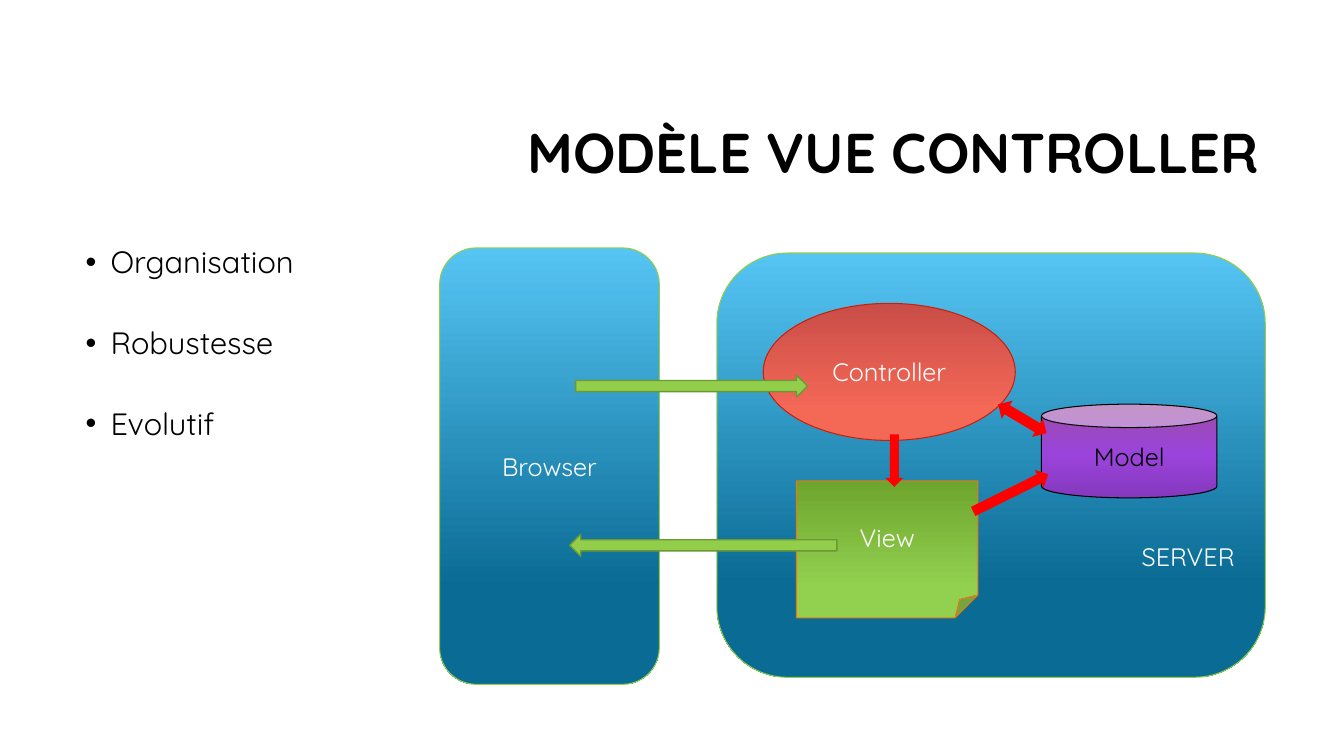
import copy

import pptx
import pptx.dml.color
import pptx.enum.shapes
import pptx.enum.text
import pptx.oxml
import pptx.oxml.ns
import pptx.util

Inches = pptx.util.Inches
Pt = pptx.util.Pt
SHAPE = pptx.enum.shapes.MSO_SHAPE
ALIGN = pptx.enum.text.PP_ALIGN
ANCHOR = pptx.enum.text.MSO_ANCHOR
FONT = "Quicksand"
COLORS = {
    "black": "000000",
    "white": "FFFFFF",
    "sky": "56C5F4",
    "ocean": "0A6B94",
    "lime": "92CE4A",
    "olive": "6C9837",
    "brick": "C94D48",
    "coral": "F46856",
    "rust": "C4220D",
    "moss": "6EA52D",
    "leaf": "92D050",
    "orange": "EB7712",
    "plum": "9C4DA3",
    "violet": "9B44DC",
    "purple": "8539BE",
    "red": "FF0000",
}
BLUE = [(0, "sky"), (0.78, "ocean")]
CORAL = [(0, "brick"), (0.78, "coral")]
GREEN = [(0, "moss"), (0.78, "leaf")]
PURPLE = [(0, "plum"), (0.52, "violet"), (1, "purple")]


def color(name):
    return pptx.dml.color.RGBColor.from_string(COLORS[name])


def apply_format(target, values):
    for name, value in values.items():
        setattr(target, name, value)


def write(paragraph, text, size, color_name, bold=False, **layout):
    paragraph.text = text
    apply_format(paragraph, layout)
    apply_format(paragraph.font, {"name": FONT, "size": Pt(size), "bold": bold})
    paragraph.font.color.rgb = color(color_name)


def add_text_box(slide, box, anchor):
    frame = slide.shapes.add_textbox(*map(Inches, box)).text_frame
    apply_format(frame, {"word_wrap": True, "vertical_anchor": anchor})
    return frame


def add_title(slide, text, box):
    frame = add_text_box(slide, box, ANCHOR.MIDDLE)
    write(frame.paragraphs[0], text, 40, "black", True,
          alignment=ALIGN.RIGHT, line_spacing=0.9)


def add_bullets(slide, items, box):
    frame = add_text_box(slide, box, ANCHOR.TOP)
    for index, item in enumerate(items):
        paragraph = frame.paragraphs[0] if index == 0 else frame.add_paragraph()
        properties = paragraph._p.get_or_add_pPr()
        properties.set("marL", str(Inches(0.25)))
        properties.set("indent", str(-Inches(0.25)))
        namespace = pptx.oxml.ns.nsdecls("a")
        properties.append(pptx.oxml.parse_xml(
            f'<a:buFont {namespace} typeface="Arial"/>'))
        properties.append(pptx.oxml.parse_xml(
            f'<a:buChar {namespace} char="•"/>'))
        write(paragraph, item, 22, "black", line_spacing=0.9,
              space_before=Pt(34 if index else 0))


def fill_gradient(shape, stops):
    shape.fill.gradient()
    shape.fill.gradient_angle = 270
    stop_list = shape._element.spPr.find(
        ".//" + pptx.oxml.ns.qn("a:gsLst"))
    while len(stop_list) < len(stops):
        stop_list.append(copy.deepcopy(stop_list[-1]))
    for stop, (position, name) in zip(shape.fill.gradient_stops, stops):
        stop.color.rgb = color(name)
        stop.position = position


def add_shape(slide, kind, box, line=None, line_width=0.75):
    shape = slide.shapes.add_shape(kind, *map(Inches, box))
    shape.shadow.inherit = False
    if line:
        shape.line.color.rgb = color(line)
        shape.line.width = Pt(line_width)
    else:
        shape.line.fill.background()
    return shape


def add_component(slide, kind, box, text, stops, line, text_color="white",
                  alignment=ALIGN.CENTER, **frame_format):
    shape = add_shape(slide, kind, box, line)
    fill_gradient(shape, stops)
    apply_format(shape.text_frame, {
        "word_wrap": True, "vertical_anchor": ANCHOR.MIDDLE, **frame_format})
    write(shape.text_frame.paragraphs[0], text, 18, text_color,
          alignment=alignment)


def add_arrow(slide, kind, box, fill, line=None, rotation=0):
    shape = add_shape(slide, kind, box, line, 1)
    shape.fill.solid()
    shape.fill.fore_color.rgb = color(fill)
    shape.rotation = rotation


def main():
    presentation = pptx.Presentation()
    presentation.slide_width = Inches(13.33)
    presentation.slide_height = Inches(7.5)
    slide = presentation.slides.add_slide(presentation.slide_layouts[6])

    add_title(slide, "MODÈLE VUE CONTROLLER", (3.17, 0.84, 9.42, 1.41))
    add_bullets(slide, ["Organisation", "Robustesse", "Evolutif"],
                (0.75, 2.4, 3.5, 4.4))

    add_component(slide, SHAPE.ROUNDED_RECTANGLE, (4.36, 2.46, 2.18, 4.33),
                  "Browser", BLUE, "lime")
    add_component(slide, SHAPE.ROUNDED_RECTANGLE, (7.11, 2.51, 5.44, 4.21),
                  "SERVER", BLUE, "lime", alignment=ALIGN.RIGHT,
                  vertical_anchor=ANCHOR.BOTTOM, margin_bottom=Inches(0.84))
    add_component(slide, SHAPE.OVAL, (7.57, 3.01, 2.5, 1.36),
                  "Controller", CORAL, "rust")
    add_component(slide, SHAPE.FOLDED_CORNER, (7.9, 4.77, 1.8, 1.36),
                  "View", GREEN, "orange")
    add_component(slide, SHAPE.CAN, (10.33, 4.01, 1.74, 0.93),
                  "Model", PURPLE, "black", "black")

    add_arrow(slide, SHAPE.RIGHT_ARROW, (5.71, 3.72, 2.3, 0.22), "lime", "olive")
    add_arrow(slide, SHAPE.LEFT_ARROW, (5.65, 5.3, 2.65, 0.22), "lime", "olive")
    add_arrow(slide, SHAPE.DOWN_ARROW, (8.78, 4.31, 0.18, 0.52), "red")
    add_arrow(slide, SHAPE.LEFT_RIGHT_ARROW, (9.86, 4.05, 0.56, 0.21), "red",
              rotation=30.8)
    add_arrow(slide, SHAPE.RIGHT_ARROW, (9.61, 4.79, 0.83, 0.2), "red",
              rotation=333.6)

    presentation.save("out.pptx")


if __name__ == "__main__":
    main()
